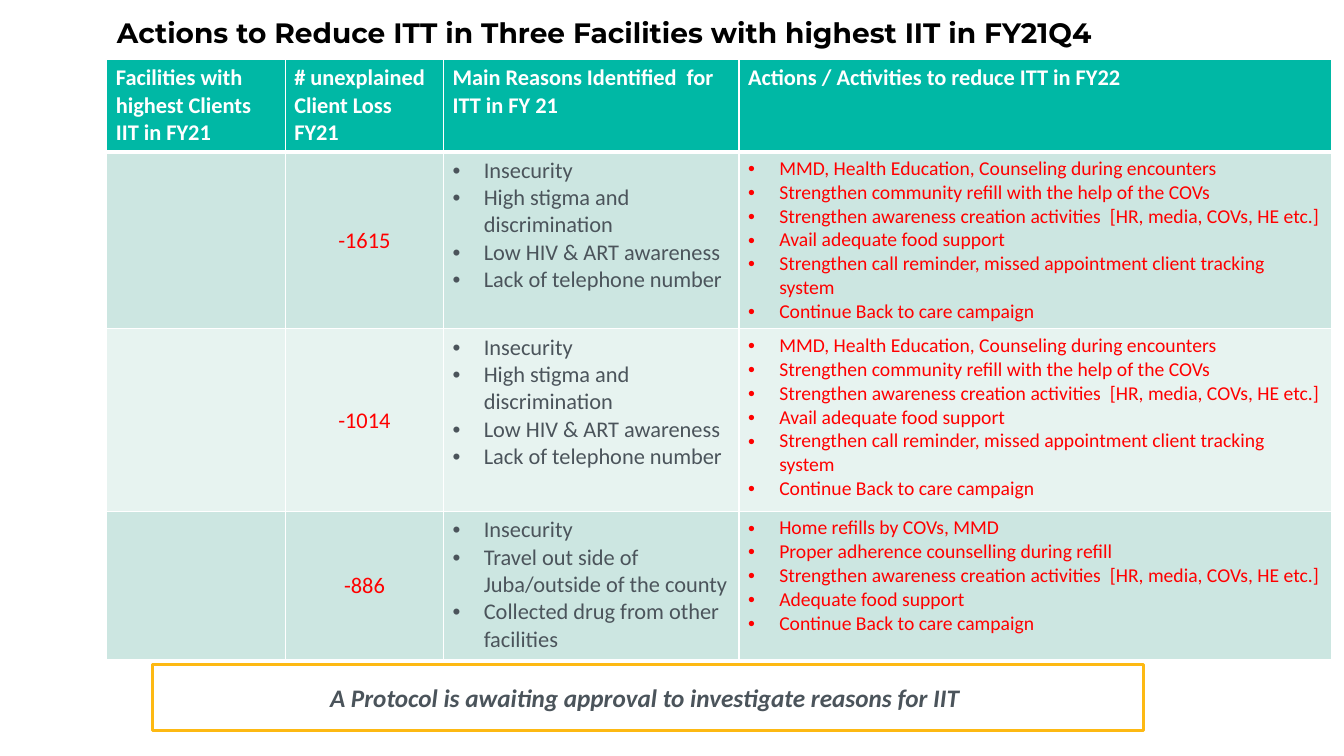
from lxml import etree
from pptx import Presentation
from pptx.dml.color import RGBColor
from pptx.enum.shapes import MSO_SHAPE
from pptx.enum.text import MSO_ANCHOR, PP_ALIGN
from pptx.oxml import parse_xml
from pptx.oxml.ns import nsdecls, qn
from pptx.util import Inches, Pt

RECTANGLE = MSO_SHAPE.RECTANGLE
MIDDLE = MSO_ANCHOR.MIDDLE
LEFT, CENTER = PP_ALIGN.LEFT, PP_ALIGN.CENTER
WHITE, BLACK, RED, GRAY = "FFFFFF", "000000", "FF0000", "4B545B"
TEAL, AMBER = "00B8A5", "FDB913"
BANDS = ["CCE6E1", "E7F3F0", "CCE6E1"]


def color(value):
    return RGBColor.from_string(value)


def add_text(paragraph, text, size, value, font="Calibri", bold=False, italic=False):
    run = paragraph.add_run()
    run.text = text
    run.font.name = font
    run.font.size = Pt(size)
    run.font.bold = bold
    run.font.italic = italic
    run.font.color.rgb = color(value)


presentation = Presentation()
presentation.slide_width = Inches(13.33)
presentation.slide_height = Inches(7.5)
slide = presentation.slides.add_slide(presentation.slide_layouts[5])

# Title
title = slide.shapes.title
title.left, title.top = Inches(1.06), Inches(0.1)
title.width, title.height = Inches(12.15), Inches(0.44)
title.fill.solid()
title.fill.fore_color.rgb = color(WHITE)
title.text_frame.vertical_anchor = MIDDLE
title.text_frame.word_wrap = True
title_paragraph = title.text_frame.paragraphs[0]
title_paragraph.alignment = LEFT
add_text(title_paragraph, "Actions to Reduce ITT in Three Facilities with highest IIT in FY21Q4",
         20, BLACK, "Montserrat", bold=True)

# Table content
headers = [
    "Facilities with highest Clients IIT in FY21",
    "# unexplained Client Loss FY21",
    "Main Reasons Identified  for ITT in FY 21",
    "Actions / Activities to reduce ITT in FY22",
]
awareness = "Strengthen awareness creation activities  [HR, media, COVs, HE etc.]"
campaign = "Continue Back to care campaign"
common_reasons = [
    "Insecurity",
    "High stigma and discrimination",
    "Low HIV & ART awareness",
    "Lack of telephone number",
]
common_actions = [
    "MMD, Health Education, Counseling during encounters",
    "Strengthen community refill with the help of the COVs",
    awareness,
    "Avail adequate food support",
    "Strengthen call reminder, missed appointment client tracking system",
    campaign,
]
travel_reasons = [
    "Insecurity",
    "Travel out side of Juba/outside of the county",
    "Collected drug from other facilities",
]
refill_actions = [
    "Home refills by COVs, MMD",
    "Proper adherence counselling during refill",
    awareness,
    "Adequate food support",
    campaign,
]
facilities = [
    ("-1615", common_reasons, common_actions),
    ("-1014", common_reasons, common_actions),
    ("-886", travel_reasons, refill_actions),
]

# Table grid, borders and fills
table = slide.shapes.add_table(4, 4, Inches(1.06), Inches(0.59), Inches(12.15), Inches(5.66)).table
for column, width in zip(table.columns, [1.77, 1.57, 2.93, 5.88]):
    column.width = Inches(width)
for row, height in zip(table.rows, [0.78, 1.6, 1.81, 1.47]):
    row.height = Inches(height)
for row_index, fill in enumerate([TEAL] + BANDS):
    for cell in table.rows[row_index].cells:
        properties = cell._tc.get_or_add_tcPr()
        for side in ("L", "R", "T", "B"):
            thick = (row_index, side) in [(0, "B"), (1, "T")]
            properties.append(parse_xml(
                f'<a:ln{side} {nsdecls("a")} w="{Pt(3 if thick else 1)}"><a:solidFill>'
                f'<a:srgbClr val="{WHITE}"/></a:solidFill></a:ln{side}>'))
        cell.fill.solid()
        cell.fill.fore_color.rgb = color(fill)
        cell.margin_left = cell.margin_right = Inches(0.09)
        cell.margin_top = cell.margin_bottom = Inches(0.05)

# Header row
for column_index, header in enumerate(headers):
    add_text(table.cell(0, column_index).text_frame.paragraphs[0], header, 16, WHITE, bold=True)

# Facility rows
for row_index, (loss, reasons, actions) in enumerate(facilities, start=1):
    loss_cell = table.cell(row_index, 1)
    loss_cell.vertical_anchor = MIDDLE
    loss_cell.margin_left = loss_cell.margin_right = loss_cell.margin_top = Inches(0.01)
    loss_cell.margin_bottom = 0
    loss_paragraph = loss_cell.text_frame.paragraphs[0]
    loss_paragraph.alignment = CENTER
    add_text(loss_paragraph, loss, 16, RED)

    for column_index, items, size, value in [(2, reasons, 16, GRAY), (3, actions, 14, RED)]:
        text_frame = table.cell(row_index, column_index).text_frame
        for item_index, item in enumerate(items):
            paragraph = text_frame.add_paragraph() if item_index else text_frame.paragraphs[0]
            bullet = paragraph._p.get_or_add_pPr()
            bullet.set("marL", str(Inches(0.31)))
            bullet.set("indent", str(-Inches(0.31)))
            etree.SubElement(bullet, qn("a:buFont"), typeface="Arial")
            etree.SubElement(bullet, qn("a:buChar"), char="•")
            add_text(paragraph, item, size, value)

# Protocol note
note = slide.shapes.add_shape(RECTANGLE, Inches(1.51), Inches(6.59), Inches(9.83), Inches(0.66))
note.shadow.inherit = False
note.fill.solid()
note.fill.fore_color.rgb = color(WHITE)
note.line.color.rgb = color(AMBER)
note.line.width = Pt(2)
note.text_frame.word_wrap = True
note.text_frame.vertical_anchor = MIDDLE
note_paragraph = note.text_frame.paragraphs[0]
note_paragraph.alignment = CENTER
add_text(note_paragraph, "A Protocol is awaiting approval to investigate reasons for IIT ",
         18, GRAY, bold=True, italic=True)

presentation.save("out.pptx")
